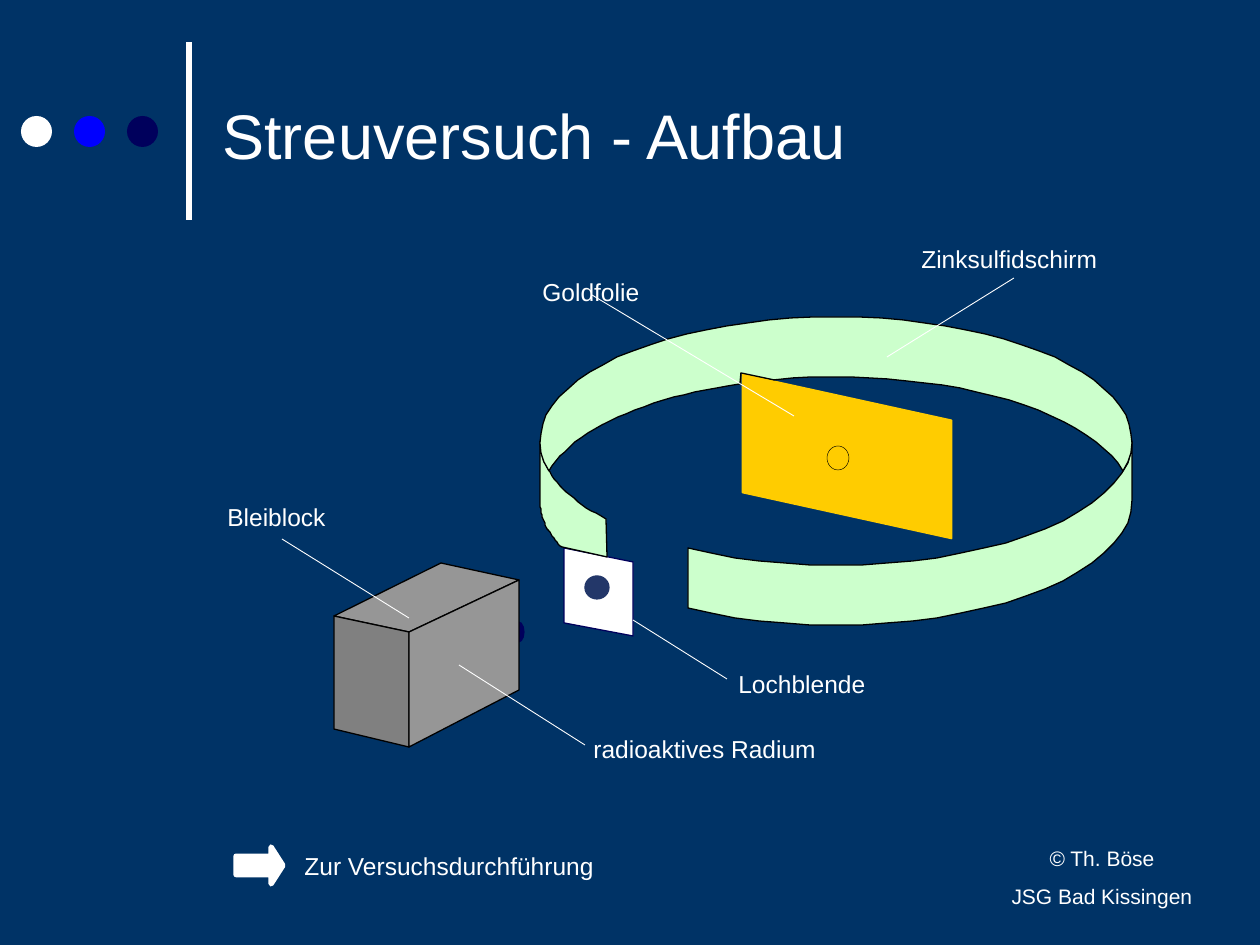
import math

import lxml.etree
import pptx
import pptx.dml.color
import pptx.enum.shapes
import pptx.enum.text
import pptx.oxml.ns
import pptx.util

SCALE = 914400 / 126
SHAPE = pptx.enum.shapes.MSO_SHAPE
ALIGN = pptx.enum.text.PP_ALIGN
ANCHOR = pptx.enum.text.MSO_ANCHOR

WHITE = pptx.dml.color.RGBColor(0xFF, 0xFF, 0xFF)
BLACK = pptx.dml.color.RGBColor(0x00, 0x00, 0x00)
BACKDROP = pptx.dml.color.RGBColor(0x00, 0x33, 0x66)
BLUE = pptx.dml.color.RGBColor(0x00, 0x00, 0xFF)
NAVY = pptx.dml.color.RGBColor(0x00, 0x00, 0x5C)
HOLE = pptx.dml.color.RGBColor(0x23, 0x37, 0x69)
GOLD = pptx.dml.color.RGBColor(0xFF, 0xCC, 0x00)
GREEN = pptx.dml.color.RGBColor(0xCC, 0xFF, 0xCC)
LIGHT_GREY = pptx.dml.color.RGBColor(0x96, 0x96, 0x96)
DARK_GREY = pptx.dml.color.RGBColor(0x80, 0x80, 0x80)

RING_X, RING_RX, RING_RY = 836, 296, 124
UPPER_Y, LOWER_Y = 441, 501


def px(length):
    return pptx.util.Emu(round(length * SCALE))


def paint(shape, fill, line=None, width=0.75):
    shape.shadow.inherit = False
    shape.fill.solid()
    shape.fill.fore_color.rgb = fill
    if line is None:
        shape.line.fill.background()
    else:
        shape.line.color.rgb = line
        shape.line.width = pptx.util.Pt(width)


def add_preset(slide, kind, box, fill, line=None, width=0.75):
    shape = slide.shapes.add_shape(kind, *map(px, box))
    paint(shape, fill, line, width)
    return shape


def add_outline(slide, points, fill, line=BLACK):
    builder = slide.shapes.build_freeform(*points[0], scale=SCALE)
    builder.add_line_segments(points[1:], close=True)
    paint(builder.convert_to_shape(), fill, line)


def add_line(slide, ends, width=0.5):
    line = slide.shapes.add_connector(
        pptx.enum.shapes.MSO_CONNECTOR.STRAIGHT, *map(px, ends))
    line.line.color.rgb = WHITE
    line.line.width = pptx.util.Pt(width)
    lxml.etree.SubElement(line._element.spPr, pptx.oxml.ns.qn("a:effectLst"))


def format_text(frame, size, align):
    for paragraph in frame.paragraphs:
        paragraph.alignment = align
        for run in paragraph.runs:
            run.font.name = "Arial"
            run.font.size = pptx.util.Pt(size)
            run.font.color.rgb = WHITE


def add_label(slide, text, box, size=14, align=ALIGN.LEFT):
    frame = slide.shapes.add_textbox(*map(px, box)).text_frame
    frame.word_wrap = True
    frame.vertical_anchor = ANCHOR.MIDDLE
    frame.text = text
    format_text(frame, size, align)
    return frame


def set_title(slide, text):
    title = slide.shapes.title
    title.left, title.top, title.width, title.height = map(px, (210, 29, 966, 210))
    frame = title.text_frame
    frame.text = text
    frame.auto_size = pptx.enum.text.MSO_AUTO_SIZE.NONE
    frame.vertical_anchor = ANCHOR.MIDDLE
    format_text(frame, 36, ALIGN.LEFT)


def add_header_marks(slide):
    add_line(slide, (189, 220, 189, 42), 3)
    for i, color in enumerate((WHITE, BLUE, NAVY)):
        add_preset(slide, SHAPE.OVAL, (21 + 53 * i, 116, 31, 31), color)


def arc(center_y, start, end, steps=24):
    angles = [math.radians(start + (end - start) * i / steps) for i in range(steps + 1)]
    return [(round(RING_X + RING_RX * math.cos(a)),
             round(center_y + RING_RY * math.sin(a))) for a in angles]


def add_screen(slide):
    front_left = arc(UPPER_Y, 141, 180) + arc(LOWER_Y, 180, 158) + [(607, 557)]
    front_right = arc(UPPER_Y, 0, 120) + arc(LOWER_Y, 120, 0)
    crossing = math.degrees(math.asin((LOWER_Y - UPPER_Y) / 2 / RING_RY))
    back = (arc(UPPER_Y, 180 - crossing, 360 + crossing, 48)
            + arc(LOWER_Y, 360 - crossing, 258) + [(741, 373)]
            + arc(LOWER_Y, 251, 180 + crossing))
    for band in (front_left, front_right, back):
        add_outline(slide, band, GREEN)


def add_gold_foil(slide):
    foil = add_preset(slide, SHAPE.PARALLELOGRAM, (765, 352, 164, 209), GOLD, GOLD, 1)
    foil.adjustments[0] = 0.28
    foil.rotation = 90
    add_preset(slide, SHAPE.OVAL, (827, 446, 22, 24), GOLD, BLACK, 0.25)


def add_aperture(slide):
    add_outline(slide, [(564, 548), (633, 562), (633, 636), (564, 623)], WHITE, NAVY)
    add_preset(slide, SHAPE.OVAL, (585, 576, 24, 23), HOLE, HOLE)


def add_lead_block(slide):
    left, front, right = (334, 616), (409, 632), (519, 580)
    front_foot = (409, 747)
    add_preset(slide, SHAPE.OVAL, (513, 622, 11, 20), NAVY, NAVY)
    add_outline(slide, [left, front, right, (441, 563)], LIGHT_GREY)
    add_outline(slide, [left, front, front_foot, (334, 729)], DARK_GREY)
    add_outline(slide, [front, right, (519, 690), front_foot], LIGHT_GREY)


def add_callouts(slide):
    for text, box, leader in (
        ("Goldfolie", (530, 270, 126, 43), (592, 295, 794, 416)),
        ("Zinksulfidschirm", (909, 237, 204, 43), (1014, 278, 887, 357)),
        ("Bleiblock", (215, 495, 126, 43), (282, 539, 409, 618)),
        ("Lochblende", (726, 662, 154, 43), (601 + 32, 620, 727, 679)),
        ("radioaktives Radium", (581, 727, 248, 43), (459, 665, 585, 745)),
    ):
        add_label(slide, text, box)
        add_line(slide, leader)


def add_footer(slide):
    arrow = add_preset(slide, SHAPE.RIGHT_ARROW, (236, 847, 47, 37), WHITE, WHITE, 3)
    arrow.adjustments[1] = 0.32
    add_label(slide, "Zur Versuchsdurchführung", (292, 844, 360, 43))
    credit = add_label(slide, "© Th. Böse\nJSG Bad Kissingen",
                       (978, 839, 248, 77), 12, ALIGN.CENTER)
    credit.vertical_anchor = ANCHOR.TOP
    for paragraph in credit.paragraphs:
        paragraph.space_before = pptx.util.Pt(7.5)


def main():
    presentation = pptx.Presentation()
    presentation.slide_width = px(1260)
    presentation.slide_height = px(945)
    slide = presentation.slides.add_slide(presentation.slide_layouts[5])
    slide.background.fill.solid()
    slide.background.fill.fore_color.rgb = BACKDROP
    add_header_marks(slide)
    set_title(slide, "Streuversuch - Aufbau")
    add_gold_foil(slide)
    add_aperture(slide)
    add_lead_block(slide)
    add_screen(slide)
    add_callouts(slide)
    add_footer(slide)
    presentation.save("out.pptx")


if __name__ == "__main__":
    main()
